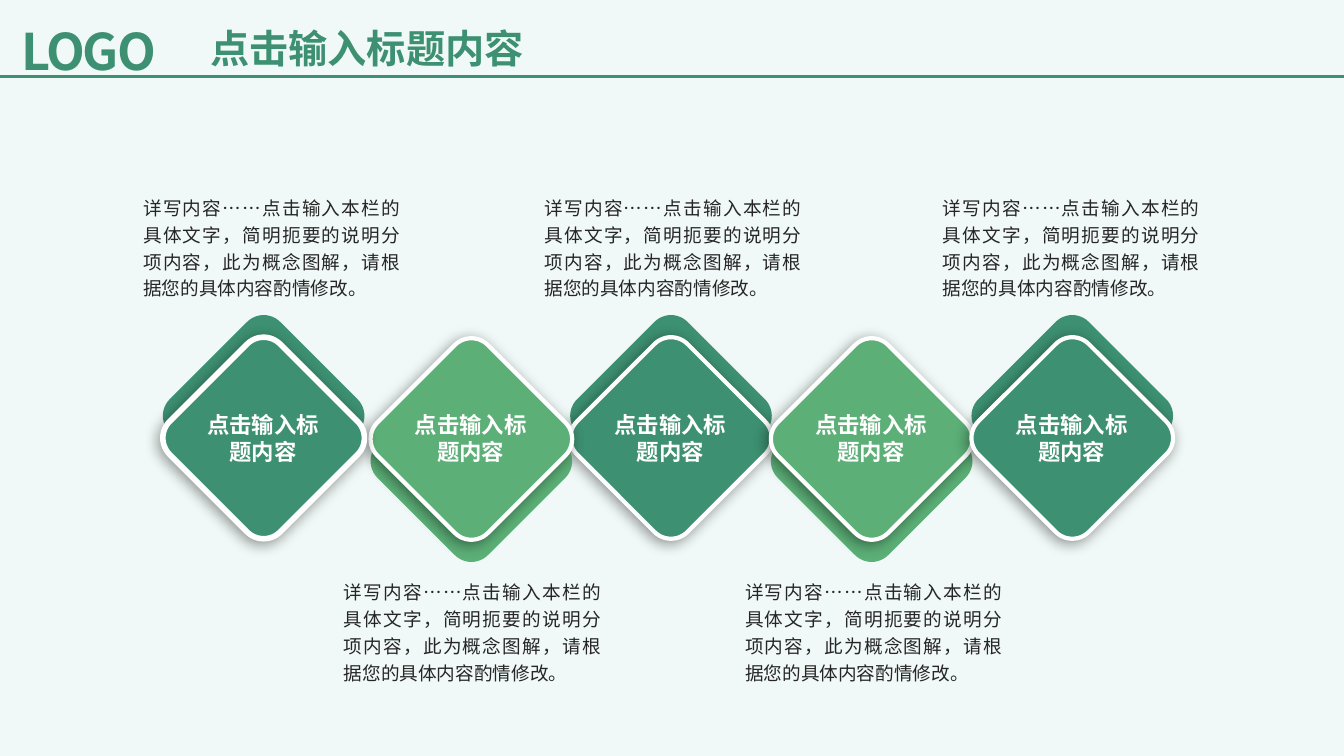
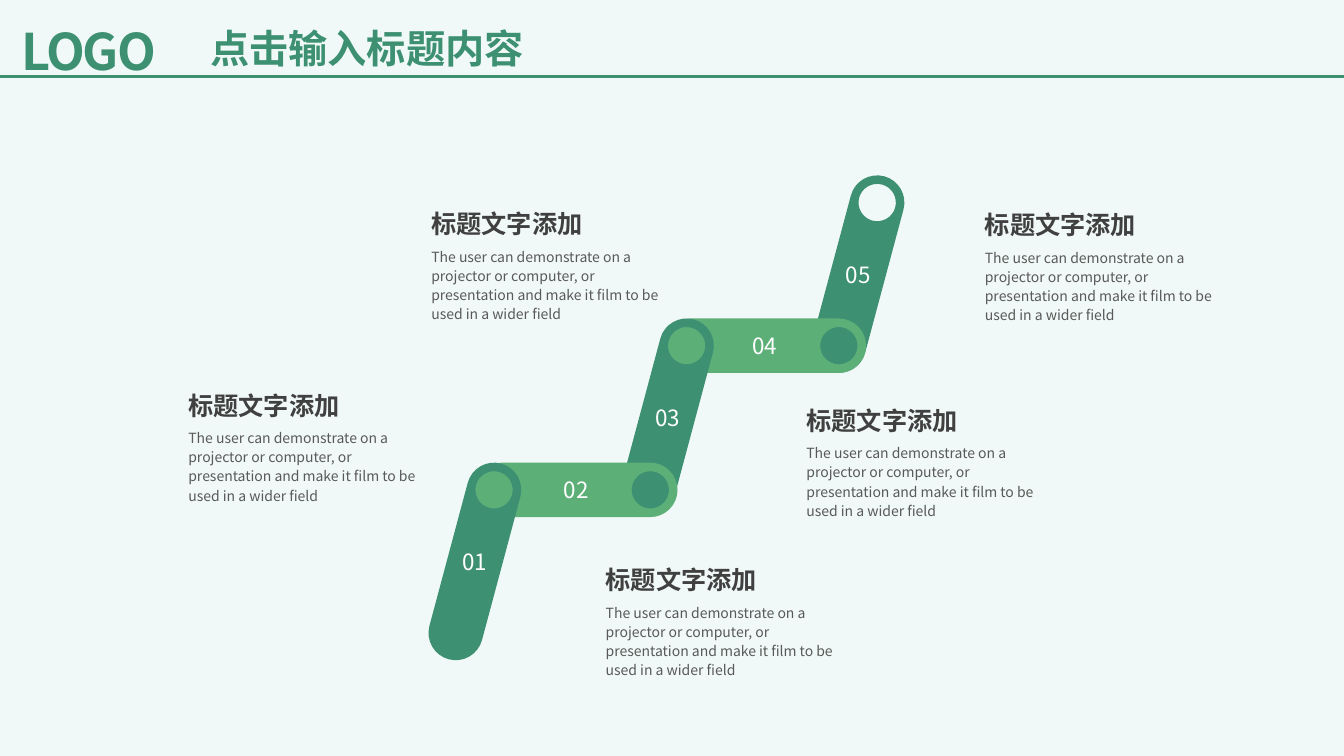
import math
from dataclasses import dataclass
from typing import Any, NamedTuple

import pptx
import pptx.dml.color
import pptx.enum.lang
import pptx.enum.shapes
import pptx.enum.text
import pptx.oxml
import pptx.oxml.ns
import pptx.util

Inches = pptx.util.Inches
Align = pptx.enum.text.PP_ALIGN
Kind = pptx.enum.shapes.MSO_SHAPE
Lang = pptx.enum.lang.MSO_LANGUAGE_ID
Spot = tuple[float, float]
qn = pptx.oxml.ns.qn
NS = pptx.oxml.ns.nsdecls("a")
WIDE, HIGH = 13.33, 7.5


# Look of the deck
@dataclass(frozen=True)
class Theme:
    font: str = "Noto Sans CJK SC"
    tint: str = "B4E2D7"
    dark: str = "3D9072"
    light: str = "5CAF77"
    white: str = "FFFFFF"
    ink: str = "262626"
    head: str = "404040"
    gray: str = "595959"
    logo_size: float = 36
    title_size: float = 28
    head_size: float = 18
    label_size: float = 16
    body_size: float = 13.3
    note_size: float = 10


THEME = Theme()


class Style(NamedTuple):
    size: float
    color: str
    bold: bool = False
    align: Any = Align.LEFT
    space: float = 1.0
    inset: Spot = (0.1, 0.05)
    lang: Any = Lang.SIMPLIFIED_CHINESE
    grow: bool = True


LOGO = Style(THEME.logo_size, THEME.dark, True, inset=(0.13, 0.07), lang=Lang.ENGLISH_US)
TITLE = Style(THEME.title_size, THEME.dark, True, Align.CENTER)
LABEL = Style(THEME.label_size, THEME.white, True, Align.CENTER, grow=False)
BODY = Style(THEME.body_size, THEME.ink, align=Align.JUSTIFY, space=1.2, inset=(0, 0))
NUMBER = Style(
    THEME.label_size, THEME.white, align=Align.CENTER, inset=(0, 0),
    lang=Lang.ENGLISH_US, grow=False,
)
HEAD = Style(THEME.head_size, THEME.head, True)
NOTE = Style(THEME.note_size, THEME.gray, space=1.14, lang=Lang.ENGLISH_US)


# Content
class Diamond(NamedTuple):
    left: float
    text_left: float
    up: bool
    edge: float = 3


class Link(NamedTuple):
    label: str
    start: Spot
    end: Spot
    color: str


class Note(NamedTuple):
    left: float
    top: float


TITLE_TEXT = "点击输入标题内容"
BODY_TEXT = (
    "详写内容……点击输入本栏的具体文字，简明扼要的说明分项内容，"
    "此为概念图解，请根据您的具体内容酌情修改。"
)
HEAD_TEXT = "标题文字添加"
NOTE_TEXT = (
    "The user can demonstrate on a projector or computer, or "
    "presentation and make it film to be used in a wider field"
)

# Listed from back to front
DIAMONDS = [
    Diamond(5.88, 5.4, True),
    Diamond(3.9, 3.41, False),
    Diamond(1.84, 1.42, True, 4),
    Diamond(7.87, 7.39, False),
    Diamond(9.86, 9.35, True),
]
LINKS = [
    Link("05", (8.32, 3.43), (8.7, 2.01), THEME.dark),
    Link("04", (6.85, 3.43), (8.32, 3.43), THEME.light),
    Link("03", (6.43, 4.85), (6.81, 3.43), THEME.dark),
    Link("02", (4.98, 4.86), (6.45, 4.86), THEME.light),
    Link("01", (4.52, 6.28), (4.9, 4.86), THEME.dark),
]
NOTES = [
    Note(1.77, 3.82),
    Note(5.91, 5.55),
    Note(4.18, 2.02),
    Note(7.9, 3.97),
    Note(9.67, 2.03),
]


# Drawing tools
def rgb(code: str) -> Any:
    return pptx.dml.color.RGBColor.from_string(code)


def write(frame: Any, text: str, style: Style) -> None:
    frame.text = text
    frame.word_wrap = True
    if style.grow:
        frame.auto_size = pptx.enum.text.MSO_AUTO_SIZE.SHAPE_TO_FIT_TEXT
    else:
        frame.vertical_anchor = pptx.enum.text.MSO_ANCHOR.MIDDLE
    frame.margin_left = frame.margin_right = Inches(style.inset[0])
    frame.margin_top = frame.margin_bottom = Inches(style.inset[1])
    para = frame.paragraphs[0]
    para.alignment = style.align
    para.line_spacing = style.space
    font = para.runs[0].font
    font.size = pptx.util.Pt(style.size)
    font.bold = style.bold
    font.color.rgb = rgb(style.color)
    font.name = THEME.font
    font.language_id = style.lang
    # East Asian letters take their font from a separate element
    props = para.runs[0]._r.get_or_add_rPr()
    east = pptx.oxml.parse_xml(f'<a:ea {NS} typeface="{THEME.font}"/>')
    props.find(qn("a:latin")).addnext(east)


def add_text(
    slide: Any, text: str, style: Style,
    left: float, top: float, width: float, height: float,
) -> Any:
    box = slide.shapes.add_textbox(
        Inches(left), Inches(top), Inches(width), Inches(height)
    )
    write(box.text_frame, text, style)
    return box


def paint(shape: Any, color: str) -> None:
    shape.shadow.inherit = False
    shape.fill.solid()
    shape.fill.fore_color.rgb = rgb(color)
    shape.line.fill.background()


def add_shadow(shape: Any) -> None:
    blur, gap = pptx.util.Pt(10), pptx.util.Pt(3)
    glow = pptx.oxml.parse_xml(
        f'<a:outerShdw {NS} blurRad="{blur}" '
        f'dist="{gap}" dir="{135 * 60000}" algn="ctr" rotWithShape="0">'
        '<a:srgbClr val="000000"><a:alpha val="40000"/></a:srgbClr>'
        "</a:outerShdw>"
    )
    shape._element.spPr.find(qn("a:effectLst")).append(glow)


def add_page(deck: Any) -> Any:
    """Blank slide with the shared tint and header."""
    slide = deck.slides.add_slide(deck.slide_layouts[6])
    tint = slide.shapes.add_shape(Kind.RECTANGLE, 0, 0, Inches(WIDE), Inches(HIGH))
    paint(tint, THEME.tint)
    shade = tint._element.spPr.find(qn("a:solidFill"))[0]
    shade.append(pptx.oxml.parse_xml(f'<a:alpha {NS} val="20000"/>'))
    logo = add_text(slide, "LOGO", LOGO, 0.08, 0.13, 1.96, 0.74)
    logo.text_frame.paragraphs[0].runs[0]._r.get_or_add_rPr().set("spc", "-150")
    rule = slide.shapes.add_connector(
        pptx.enum.shapes.MSO_CONNECTOR.STRAIGHT,
        0, Inches(0.76), Inches(WIDE), Inches(0.76),
    )
    rule.line.color.rgb = rgb(THEME.dark)
    rule.line.width = pptx.util.Pt(2)
    rule._element.spPr.append(pptx.oxml.parse_xml(f"<a:effectLst {NS}/>"))
    add_text(slide, TITLE_TEXT, TITLE, 1.84, 0.19, 3.6, 0.57)
    return slide


# Diamond row
def add_tile(slide: Any, item: Diamond, top: float) -> Any:
    side = Inches(1.55)
    tile = slide.shapes.add_shape(
        Kind.ROUNDED_RECTANGLE, Inches(item.left), Inches(top), side, side
    )
    tile.adjustments[0] = 0.15
    tile.rotation = 315 if item.up else 135
    paint(tile, THEME.dark if item.up else THEME.light)
    return tile


def add_diamond(slide: Any, item: Diamond) -> None:
    add_tile(slide, item, 3.35 if item.up else 3.8)
    front = add_tile(slide, item, 3.57 if item.up else 3.58)
    front.line.color.rgb = rgb(THEME.white)
    front.line.width = pptx.util.Pt(item.edge)
    add_shadow(front)
    add_text(slide, TITLE_TEXT, LABEL, item.left + 0.11, 4.2, 1.32, 0.29)
    text_top = 1.91 if item.up else 5.72
    add_text(slide, BODY_TEXT, BODY, item.text_left, text_top, 2.55, 1.08)


# Chain of links
def arc(mid: Spot, radius: float, start: float, turns: int) -> list[tuple[int, int]]:
    """Start point, then two handles and an end point for each quarter turn."""
    quarter = math.copysign(math.pi / 2, turns)
    reach = math.hypot(1, 4 / 3 * math.tan(math.pi / 8))
    lean = math.copysign(math.acos(1 / reach), turns)
    polar = [(1.0, start)]
    for i in range(abs(turns)):
        a, b = start + i * quarter, start + (i + 1) * quarter
        polar += [(reach, a + lean), (reach, b - lean), (1.0, b)]
    return [
        (Inches(mid[0] + radius * r * math.cos(t)),
         Inches(mid[1] + radius * r * math.sin(t)))
        for r, t in polar
    ]


def bend(path: Any, first: int) -> None:
    """Merge three line segments into one curve."""
    lines = path[first:first + 3]
    curve = pptx.oxml.parse_xml(f"<a:cubicBezTo {NS}/>")
    lines[0].addprevious(curve)
    for line in lines:
        curve.append(line[0])
        path.remove(line)


def fit(shape: Any, path: Any, link: Link, radius: float) -> None:
    """Frame the visible outline and leave the curve handles out."""
    xs, ys = zip(link.start, link.end)
    left, top = Inches(min(xs) - radius), Inches(min(ys) - radius)
    dx, dy = left - shape.left, top - shape.top
    for point in path.iter(qn("a:pt")):
        point.set("x", str(int(point.get("x")) - dx))
        point.set("y", str(int(point.get("y")) - dy))
    shape.left, shape.top = left, top
    shape.width = Inches(max(xs) + radius) - left
    shape.height = Inches(max(ys) + radius) - top
    path.set("w", str(shape.width))
    path.set("h", str(shape.height))


def add_link(slide: Any, link: Link) -> None:
    """Capsule between two points, with a round hole at its end."""
    (x1, y1), (x2, y2) = link.start, link.end
    turn, radius = math.atan2(y2 - y1, x2 - x1), 0.27
    rim = arc(link.end, radius, turn - math.pi / 2, 2)
    rim += arc(link.start, radius, turn + math.pi / 2, 2)
    hole = arc(link.end, 0.185, turn, -4)
    pen = slide.shapes.build_freeform(*rim[0])
    pen.add_line_segments(rim[1:], close=True)
    pen.move_to(*hole[0])
    pen.add_line_segments(hole[1:], close=True)
    shape = pen.convert_to_shape()
    path = next(shape._element.iter(qn("a:path")))
    # Last curve first, so that earlier places stay valid
    for first in (25, 22, 19, 16, 11, 8, 4, 1):
        bend(path, first)
    fit(shape, path, link, radius)
    paint(shape, link.color)
    write(shape.text_frame, link.label, NUMBER)


def add_note(slide: Any, note: Note) -> None:
    add_text(slide, HEAD_TEXT, HEAD, note.left, note.top, 2.33, 0.4)
    add_text(slide, NOTE_TEXT, NOTE, note.left, note.top + 0.37, 2.57, 0.87)


def main() -> None:
    deck = pptx.Presentation()
    deck.slide_width, deck.slide_height = Inches(WIDE), Inches(HIGH)

    # Slide 1: diamonds
    row = add_page(deck)
    for item in DIAMONDS:
        add_diamond(row, item)

    # Slide 2: chain
    chain = add_page(deck)
    for link in LINKS:
        add_link(chain, link)
    for note in NOTES:
        add_note(chain, note)

    deck.save("out.pptx")


if __name__ == "__main__":
    main()
